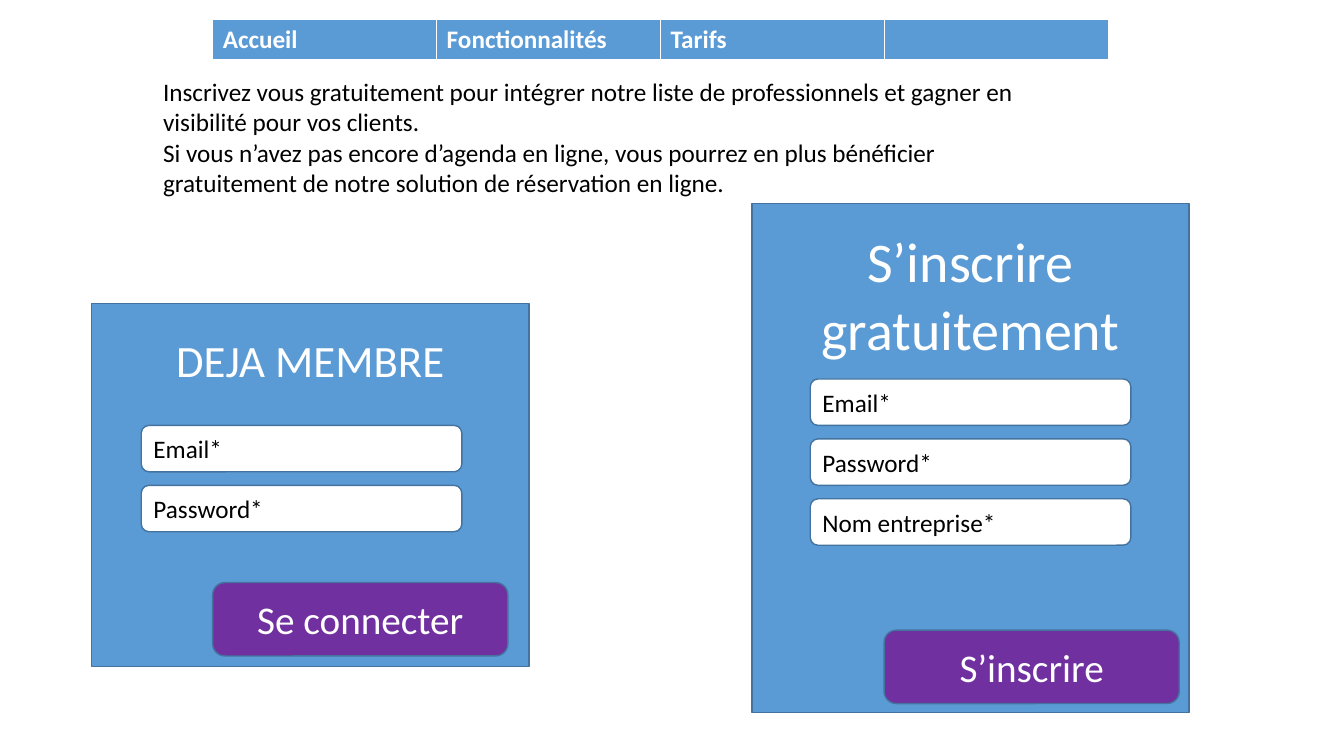
"""Build a sign-up page mock-up with a menu, a login panel and a registration panel."""
from dataclasses import dataclass

from pptx import Presentation
from pptx.dml.color import RGBColor
from pptx.enum.shapes import MSO_SHAPE
from pptx.enum.text import MSO_ANCHOR, PP_ALIGN
from pptx.shapes.autoshape import Shape
from pptx.slide import Slide
from pptx.text.text import TextFrame
from pptx.util import Cm, Pt

BLUE = RGBColor(0x5B, 0x9B, 0xD5)
DARK_BLUE = RGBColor(0x43, 0x73, 0x9E)
PURPLE = RGBColor(0x70, 0x30, 0xA0)
WHITE = RGBColor(0xFF, 0xFF, 0xFF)
BLACK = RGBColor(0x00, 0x00, 0x00)

RECTANGLE = MSO_SHAPE.RECTANGLE
ROUNDED = MSO_SHAPE.ROUNDED_RECTANGLE
LEFT, CENTER = PP_ALIGN.LEFT, PP_ALIGN.CENTER
TOP, MIDDLE = MSO_ANCHOR.TOP, MSO_ANCHOR.MIDDLE

FIELD_PITCH = 1.51
MENU = ("Accueil", "Fonctionnalités", "Tarifs", "")
INTRO = (
    "Inscrivez vous gratuitement pour intégrer notre liste de professionnels "
    "et gagner en visibilité pour vos clients.",
    "Si vous n’avez pas encore d’agenda en ligne, vous pourrez en plus "
    "bénéficier gratuitement de notre solution de réservation en ligne.",
)


@dataclass(frozen=True)
class Box:
    """Place and size in centimetres."""
    left: float
    top: float
    width: float
    height: float

    def lengths(self) -> tuple[Cm, Cm, Cm, Cm]:
        """Return the four values as slide lengths."""
        return Cm(self.left), Cm(self.top), Cm(self.width), Cm(self.height)


@dataclass(frozen=True)
class Look:
    """Outline, fill and text format of a part of a form."""
    outline: MSO_SHAPE
    fill: RGBColor
    color: RGBColor
    size: int
    align: PP_ALIGN
    anchor: MSO_ANCHOR = MIDDLE


@dataclass(frozen=True)
class Form:
    """A panel with its heading, input fields and button."""
    heading: str
    heading_size: int
    heading_inset: float
    panel: Box
    first_field: Box
    fields: tuple[str, ...]
    action: str
    button: Box


FIELD_LOOK = Look(ROUNDED, WHITE, BLACK, 18, LEFT)
BUTTON_LOOK = Look(ROUNDED, PURPLE, WHITE, 28, CENTER)

FORMS = (
    Form("DEJA MEMBRE", 32, 0.74, Box(2.31, 7.65, 11.02, 9.14),
         Box(3.56, 10.72, 8.08, 1.17), ("Email*", "Password*"),
         "Se connecter", Box(5.36, 14.68, 7.44, 1.85)),
    Form("S’inscrire gratuitement", 40, 0.59, Box(18.95, 5.13, 11.02, 12.83),
         Box(20.42, 9.55, 8.08, 1.17), ("Email*", "Password*", "Nom entreprise*"),
         "S’inscrire", Box(22.28, 15.88, 7.44, 1.85)),
)


def write(frame: TextFrame, lines: tuple[str, ...], color: RGBColor, size: int,
          align: PP_ALIGN = LEFT, bold: bool = False) -> None:
    """Fill a text frame with one paragraph per line."""
    frame.word_wrap = True
    frame.text = "\n".join(lines)
    font_format = {"name": "Calibri", "size": Pt(size), "bold": bold}
    for paragraph in frame.paragraphs:
        paragraph.alignment = align
        for attribute, value in font_format.items():
            setattr(paragraph.font, attribute, value)
        paragraph.font.color.rgb = color
        for run in paragraph.runs:
            for attribute, value in font_format.items():
                setattr(run.font, attribute, value)
            run.font.color.rgb = color


def draw_part(slide: Slide, box: Box, text: str, look: Look) -> Shape:
    """Draw one outlined part of a form with its text."""
    part = slide.shapes.add_shape(look.outline, *box.lengths())
    part.shadow.inherit = False
    part.fill.solid()
    part.fill.fore_color.rgb = look.fill
    part.line.color.rgb = DARK_BLUE
    part.line.width = Pt(1)
    part.text_frame.vertical_anchor = look.anchor
    write(part.text_frame, (text,), look.color, look.size, look.align)
    return part


def draw_form(slide: Slide, form: Form) -> None:
    """Draw a panel, its fields at an equal pitch and its button."""
    panel_look = Look(RECTANGLE, BLUE, WHITE, form.heading_size, CENTER, TOP)
    panel = draw_part(slide, form.panel, form.heading, panel_look)
    panel.text_frame.margin_top = Cm(form.heading_inset)
    first = form.first_field
    for index, label in enumerate(form.fields):
        field_box = Box(first.left, first.top + index * FIELD_PITCH,
                        first.width, first.height)
        draw_part(slide, field_box, label, FIELD_LOOK)
    draw_part(slide, form.button, form.action, BUTTON_LOOK)


def draw_menu(slide: Slide, box: Box) -> None:
    """Draw the menu bar as a table of one row."""
    menu = slide.shapes.add_table(1, len(MENU), *box.lengths()).table
    for cell, entry in zip(menu.rows[0].cells, MENU):
        cell.fill.solid()
        cell.fill.fore_color.rgb = BLUE
        write(cell.text_frame, (entry,), WHITE, 18, bold=True)


def draw_intro(slide: Slide, box: Box) -> None:
    """Draw the introduction below the menu."""
    intro = slide.shapes.add_textbox(*box.lengths())
    write(intro.text_frame, INTRO, BLACK, 18)


def main() -> None:
    """Build and save the presentation."""
    presentation = Presentation()
    presentation.slide_width = Cm(33.87)
    presentation.slide_height = Cm(19.05)
    slide = presentation.slides.add_slide(presentation.slide_layouts[6])
    draw_menu(slide, Box(5.36, 0.48, 22.58, 1.03))
    draw_intro(slide, Box(3.86, 1.8, 22.53, 3.33))
    for form in FORMS:
        draw_form(slide, form)
    presentation.save("out.pptx")


if __name__ == "__main__":
    main()
